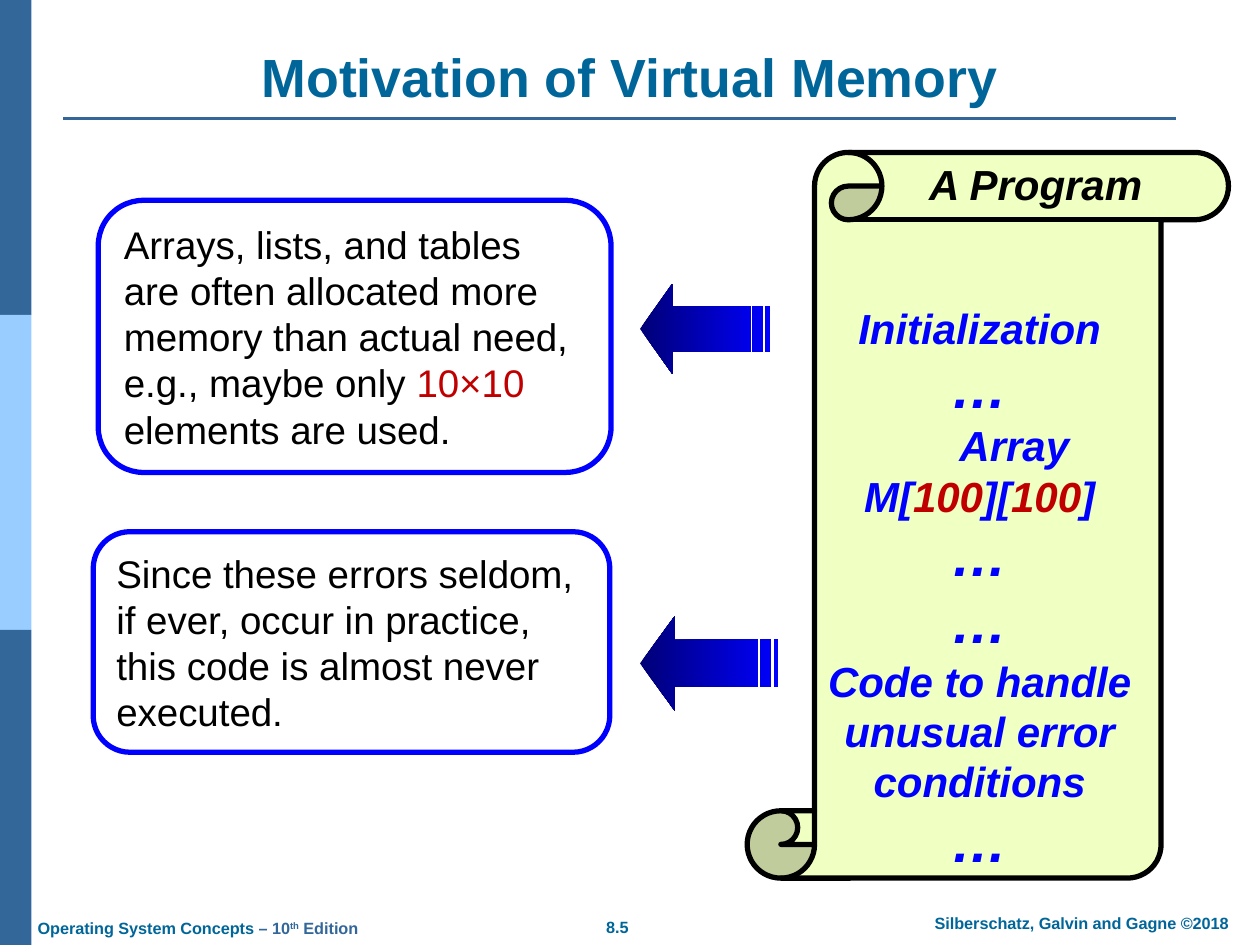
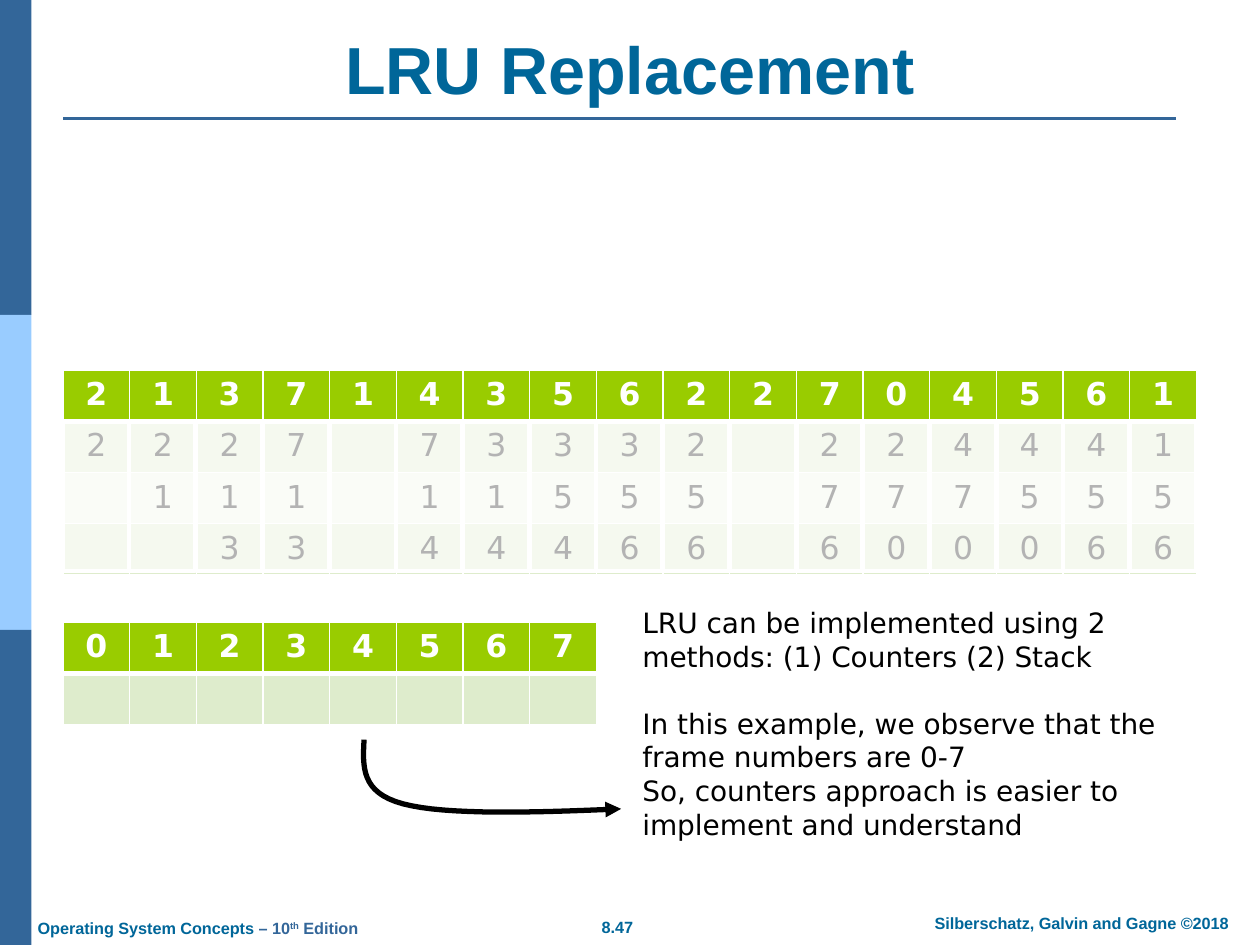
"""Build two operating-systems slides: virtual memory motivation and LRU replacement."""
from dataclasses import dataclass
from typing import NamedTuple

from lxml import etree
from pptx import Presentation
from pptx.dml.color import RGBColor
from pptx.enum.shapes import MSO_CONNECTOR, MSO_SHAPE
from pptx.enum.text import MSO_ANCHOR, MSO_AUTO_SIZE, PP_ALIGN
from pptx.oxml.ns import qn
from pptx.slide import Slide
from pptx.util import Inches, Pt

RECTANGLE, ROUNDED, SCROLL = MSO_SHAPE.RECTANGLE, MSO_SHAPE.ROUNDED_RECTANGLE, MSO_SHAPE.VERTICAL_SCROLL
STRAIGHT = MSO_CONNECTOR.STRAIGHT
LEFT, CENTER = PP_ALIGN.LEFT, PP_ALIGN.CENTER
TOP, MIDDLE, BOTTOM = MSO_ANCHOR.TOP, MSO_ANCHOR.MIDDLE, MSO_ANCHOR.BOTTOM
NO_FIT = MSO_AUTO_SIZE.NONE
TITLE_ONLY = 5

COLORS = {
    "title": "006699", "band": "336699", "band_light": "99CCFF",
    "blue": "0000FF", "navy": "000076", "red": "C00000",
    "black": "000000", "white": "FFFFFF", "scroll": "F0FFC2",
    "header": "99CC00", "row_dark": "DEECCC", "row_light": "EFF6E7",
}
SANS, WIDE = "Arial", "DejaVu Sans"
SLIDE_WIDTH, SLIDE_HEIGHT = Inches(10), Inches(7.5)
GRID_COLUMNS, GRID_ROWS = 40, 30
TABLE_COLUMN, TABLE_ROW = 36 / 17, 1.62


class Frame(NamedTuple):
    """A rectangle in grid columns and rows."""
    left: float
    top: float
    width: float
    height: float

    def emu(self) -> tuple[int, int, int, int]:
        """Return the rectangle in slide units."""
        return *place(self.left, self.top), *place(self.width, self.height)


@dataclass
class Span:
    """A stretch of text with its own colour, size or baseline."""
    text: str
    color: str = "black"
    size: float = 24
    baseline: int = 0


@dataclass
class Para:
    """A paragraph of spans with its spacing."""
    spans: list[Span]
    before: float = 0
    indent: float = 0


@dataclass
class Note:
    """A rounded box and the arrow that points at it."""
    frame: Frame
    arrow: Frame
    spans: list[Span]


def place(column: float, row: float) -> tuple[int, int]:
    """Turn grid columns and rows into slide units."""
    return round(column * SLIDE_WIDTH / GRID_COLUMNS), round(row * SLIDE_HEIGHT / GRID_ROWS)


def rgb(name: str) -> RGBColor:
    """Look up a named colour."""
    return RGBColor.from_string(COLORS[name])


def add_text(para, text: str, *, size: float, color: str, font: str = SANS,
             bold: bool = False, italic: bool = False, baseline: int = 0) -> None:
    """Append one formatted run to a paragraph."""
    run = para.add_run()
    run.text = text
    run.font.size, run.font.name = Pt(size), font
    run.font.bold, run.font.italic = bold, italic
    run.font.color.rgb = rgb(color)
    if baseline:
        run.font._element.set("baseline", str(baseline * 1000))


def fill_frame(text_frame, paras: list[Para], *, align=LEFT, anchor=TOP, wrap: bool = True, **style) -> None:
    """Write paragraphs into a text frame."""
    text_frame.word_wrap, text_frame.vertical_anchor = wrap, anchor
    text_frame.auto_size = NO_FIT
    for index, item in enumerate(paras):
        para = text_frame.add_paragraph() if index else text_frame.paragraphs[0]
        para.alignment = align
        if item.before:
            para.space_before = Pt(item.before)
        if item.indent:
            para._p.get_or_add_pPr().set("indent", str(place(item.indent, 0)[0]))
        for span in item.spans:
            add_text(para, span.text, size=span.size, color=span.color, baseline=span.baseline, **style)


def add_label(page: Slide, frame: Frame, paras: list[Para], **style) -> None:
    """Add a text box."""
    fill_frame(page.shapes.add_textbox(*frame.emu()).text_frame, paras, **style)


def add_box(page: Slide, kind, frame: Frame, fill: str, line: str = "",
            weight: float = 3, opacity: int = 100):
    """Add a flat preset shape."""
    box = page.shapes.add_shape(kind, *frame.emu())
    box.shadow.inherit = False
    box.fill.solid()
    box.fill.fore_color.rgb = rgb(fill)
    if opacity < 100:
        color = box.element.spPr.find(".//" + qn("a:srgbClr"))
        etree.SubElement(color, qn("a:alpha"), val=str(opacity * 1000))
    if line:
        box.line.color.rgb, box.line.width = rgb(line), Pt(weight)
    else:
        box.line.fill.background()
    return box


def add_striped_arrow(page: Slide, frame: Frame) -> None:
    """Add a left arrow with two trailing stripes and a gradient."""
    head = [(0, .5), (.25, 0), (.25, .25), (.85, .25), (.85, .75), (.25, .75), (.25, 1)]
    stripes = [[(a, .25), (b, .25), (b, .75), (a, .75)] for a, b in ((.87, .94), (.97, 1))]
    outlines = [[place(frame.left + x * frame.width, frame.top + y * frame.height) for x, y in outline]
                for outline in (head, *stripes)]
    builder = page.shapes.build_freeform(*outlines[0][0])
    for index, outline in enumerate(outlines):
        if index:
            builder.move_to(*outline[0])
        builder.add_line_segments(outline[1:], close=True)
    arrow = builder.convert_to_shape()
    arrow.shadow.inherit = False
    arrow.fill.gradient()
    arrow.fill.gradient_angle = 0
    for stop, color, position in zip(arrow.fill.gradient_stops, ("navy", "blue"), (0, 1)):
        stop.color.rgb, stop.position = rgb(color), position
    arrow.line.fill.background()


def bezier(points: list[tuple[float, float]], steps: int = 16) -> list[tuple[int, int]]:
    """Sample a cubic curve after its first point."""
    samples = []
    for step in range(1, steps + 1):
        t = step / steps
        weights = ((1 - t) ** 3, 3 * t * (1 - t) ** 2, 3 * t * t * (1 - t), t ** 3)
        samples.append(place(*(sum(w * p[axis] for w, p in zip(weights, points)) for axis in (0, 1))))
    return samples


def add_curved_arrow(page: Slide, points: list[tuple[float, float]]) -> None:
    """Add an open curve of cubic pieces ending in an arrowhead."""
    builder = page.shapes.build_freeform(*place(*points[0]))
    for start in range(0, len(points) - 1, 3):
        builder.add_line_segments(bezier(points[start:start + 4]), close=False)
    curve = builder.convert_to_shape()
    curve.shadow.inherit = False
    curve.fill.background()
    curve.line.color.rgb, curve.line.width = rgb("black"), Pt(3)
    etree.SubElement(curve.line._get_or_add_ln(), qn("a:tailEnd"), type="triangle")


def set_borders(cell, bottom: float) -> None:
    """Give a cell thin white borders and a chosen bottom border."""
    properties = cell._tc.get_or_add_tcPr()
    for side, weight in (("L", 1), ("R", 1), ("T", 1), ("B", bottom)):
        line = etree.SubElement(properties, qn(f"a:ln{side}"), w=str(Pt(weight)))
        solid = etree.SubElement(line, qn("a:solidFill"))
        etree.SubElement(solid, qn("a:srgbClr"), val=COLORS["white"])


def add_digit_table(page: Slide, top: float, rows: list[str]) -> None:
    """Add a table with one digit per cell, a dot standing for an empty cell."""
    count = len(rows[0])
    frame = Frame(2, top, count * TABLE_COLUMN, len(rows) * TABLE_ROW)
    table = page.shapes.add_table(len(rows), count, *frame.emu()).table
    table.first_row = table.horz_banding = False
    for column in table.columns:
        column.width = place(TABLE_COLUMN, 0)[0]
    for row_index, digits in enumerate(rows):
        is_header = row_index == 0
        fill = "header" if is_header else ("row_light", "row_dark")[row_index % 2]
        table.rows[row_index].height = place(0, TABLE_ROW)[1]
        for column_index, digit in enumerate(digits):
            cell = table.cell(row_index, column_index)
            set_borders(cell, 3 if is_header else 1)
            cell.fill.solid()
            cell.fill.fore_color.rgb = rgb(fill)
            para = cell.text_frame.paragraphs[0]
            para.alignment = CENTER
            if digit != ".":
                add_text(para, digit, size=18, font=WIDE, bold=is_header,
                         color="white" if is_header else "black")


def add_page(deck, title: str, title_size: float, number: str) -> Slide:
    """Add a slide with its title, side bands, rule and footers."""
    page = deck.slides.add_slide(deck.slide_layouts[TITLE_ONLY])
    for index, color in enumerate(("band", "band_light", "band")):
        add_box(page, RECTANGLE, Frame(0, index * 10, 1, 10), color)
    rule = page.shapes.add_connector(STRAIGHT, *place(2, 3.76), *place(37.32, 3.76))
    rule.line.color.rgb, rule.line.width = rgb("band"), Pt(1.5)
    etree.SubElement(rule._element.spPr, qn("a:effectLst"))

    heading = page.shapes.title
    heading.left, heading.top, heading.width, heading.height = Frame(2, 1.2, 36, 2.52).emu()
    text_frame = heading.text_frame
    text_frame.margin_left = text_frame.margin_right = Inches(0.14)
    text_frame.margin_top = text_frame.margin_bottom = Inches(0.07)
    fill_frame(text_frame, [Para([Span(title, "title", title_size)])], align=CENTER, anchor=BOTTOM, bold=True)

    small = 9.3
    add_label(page, Frame(18.68, 28.92, 1.84, 1), [Para([Span(number, "title", small)])],
              align=CENTER, wrap=False, bold=True)
    add_label(page, Frame(28.68, 28.8, 11.32, 1),
              [Para([Span("Silberschatz, Galvin and Gagne ©2018", "title", small)])], align=CENTER, bold=True)
    add_label(page, Frame(0.8, 28.96, 11.28, 1), [Para([
        Span("Operating System Concepts", "title", small), Span(" – 10", "band", small),
        Span("th", "band", small, 30), Span(" Edition", "band", small)])], bold=True)
    return page


def build_motivation(deck) -> None:
    """Build the virtual memory slide."""
    page = add_page(deck, "Motivation of Virtual Memory", 30.7, "8.5")
    notes = [
        Note(Frame(2.96, 16.88, 16.4, 7), Frame(20.32, 19.56, 4.4, 3), [
            Span("Since these errors seldom, if ever, occur in practice, this code is almost never executed.",
                 size=22)]),
        Note(Frame(3.12, 6.36, 16.28, 8.64), Frame(20.32, 9, 4.12, 2.88), [
            Span("Arrays, lists, and tables are often allocated more memory than actual need, "
                 "e.g., maybe only ", size=22),
            Span("10×10", "red", 22), Span(" elements are used.", size=22)]),
    ]
    for note in notes:
        box = add_box(page, ROUNDED, note.frame, "white", "blue")
        fill_frame(box.text_frame, [Para(note.spans)], anchor=MIDDLE)
        add_striped_arrow(page, note.arrow)

    scroll = add_box(page, SCROLL, Frame(23.72, 4.84, 15.28, 23.04), "scroll", "black")
    scroll.adjustments[0] = 0.14
    code_style = {"align": CENTER, "bold": True, "italic": True}
    add_label(page, Frame(27.36, 4.84, 11.04, 2), [Para([Span("A Program")])], **code_style)
    dots = Para([Span("…", "blue", 32)])
    array = Para([Span("Array M[", "blue"), Span("100", "red"), Span("][", "blue"),
                  Span("100", "red"), Span("]", "blue")], indent=2.2)
    errors = Para([Span("Code to handle unusual error conditions", "blue")])
    add_label(page, Frame(25.8, 9.4, 10.6, 18.72),
              [Para([Span("Initialization", "blue")]), dots, array, dots, dots, errors, dots], **code_style)


def build_replacement(deck) -> None:
    """Build the LRU replacement slide."""
    page = add_page(deck, "LRU Replacement", 38, "8.47")
    references = "21371435622704561"
    add_digit_table(page, 11.76, [references, "2227.73332.224441", ".111.11555.777555", "..33.44466.600066"])
    add_digit_table(page, 19.76, ["01234567", "." * 8])
    for index in range(len(references)):
        add_box(page, RECTANGLE, Frame(2 + index * TABLE_COLUMN, 13.36, 2.08, 4.76),
                "white", "white", weight=2, opacity=70)
    remarks = [
        ("LRU can be implemented using 2 methods: (1) Counters (2) Stack", 0),
        ("In this example, we observe that the frame numbers are 0-7", 19),
        ("So, counters approach is easier to implement and understand", 0),
    ]
    add_label(page, Frame(20, 19.04, 18, 7.96),
              [Para([Span(text, size=16)], before) for text, before in remarks], font=WIDE)
    add_curved_arrow(page, [(11.56, 23.48), (11.52, 24.32), (11.44, 25.16), (12.8, 25.52),
                            (14.16, 25.88), (16.92, 25.8), (19.72, 25.68)])


def main() -> None:
    """Build and save the deck."""
    deck = Presentation()
    deck.slide_width, deck.slide_height = SLIDE_WIDTH, SLIDE_HEIGHT
    build_motivation(deck)
    build_replacement(deck)
    deck.save("out.pptx")


if __name__ == "__main__":
    main()
